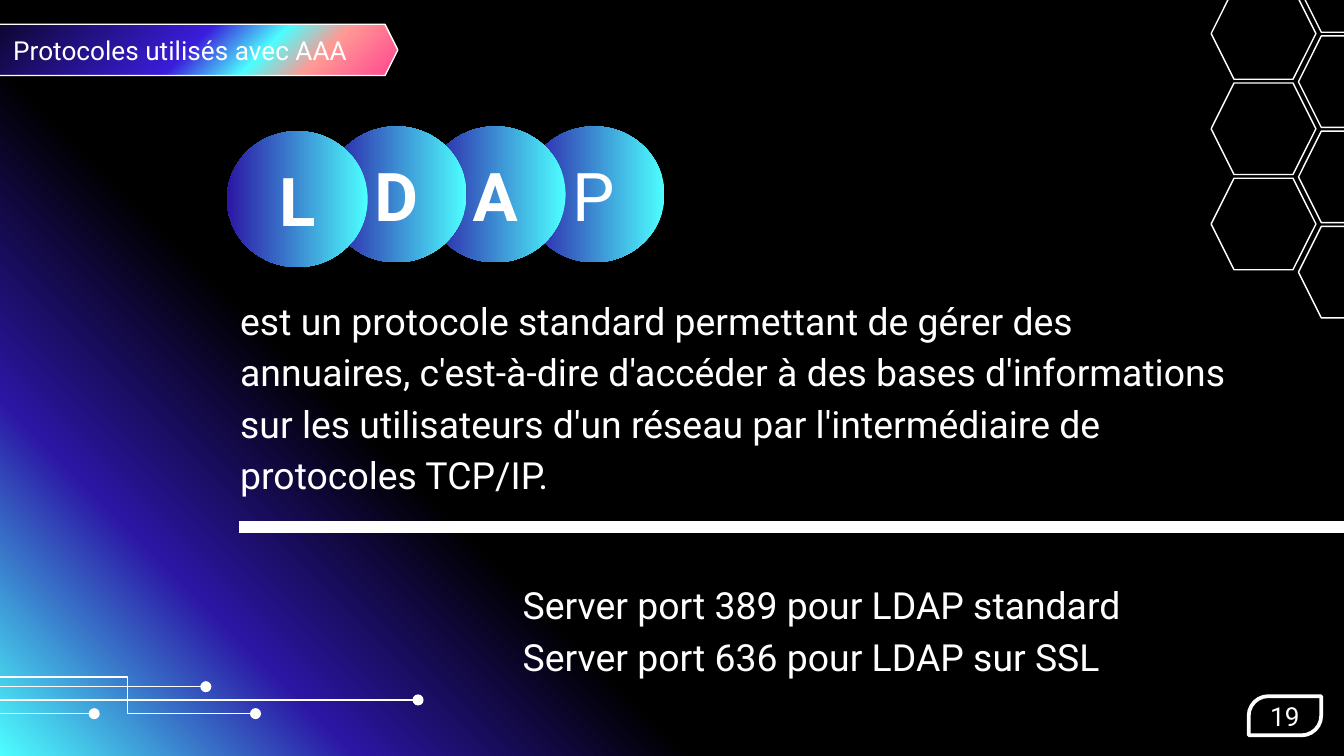
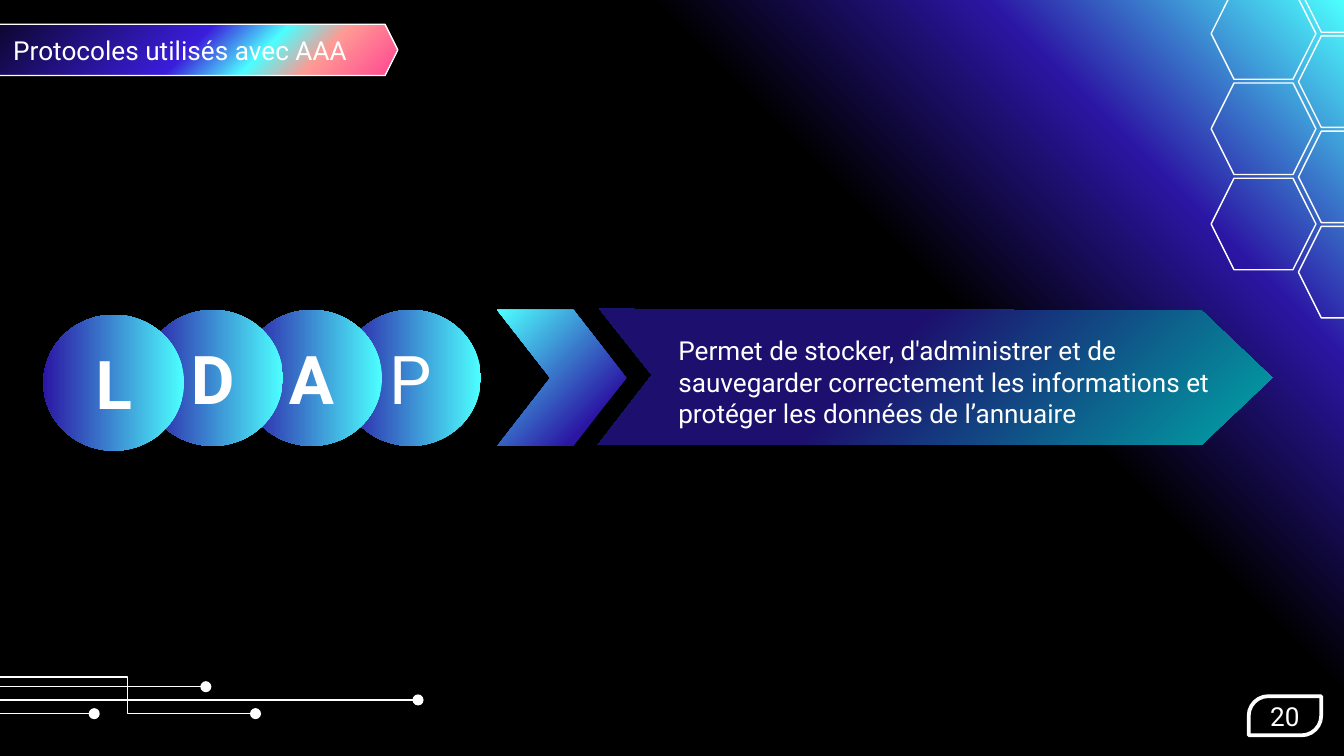
"""Build two slides on LDAP among the protocols used with AAA."""
import dataclasses
import typing

import pptx
import pptx.dml.color
import pptx.dml.fill
import pptx.enum.shapes
import pptx.enum.text
import pptx.oxml
import pptx.oxml.ns
import pptx.shapes.autoshape
import pptx.slide
import pptx.text.text
import pptx.util

Cm = pptx.util.Cm
Preset = pptx.enum.shapes.MSO_SHAPE
Connector = pptx.enum.shapes.MSO_CONNECTOR
Anchor = pptx.enum.text.MSO_ANCHOR
Align = pptx.enum.text.PP_ALIGN
AutoSize = pptx.enum.text.MSO_AUTO_SIZE
Slide = pptx.slide.Slide
Shape = pptx.shapes.autoshape.Shape

WHITE, BLACK = "FFFFFF", "000000"
CYAN, INDIGO = "4DFFFF", "2B16A4"
THIN = 0.75
INSETS = {f"margin_{side}": Cm(0.25) for side in ("left", "top", "right", "bottom")}
BOTTOM_TEXT = {"word_wrap": True, "vertical_anchor": Anchor.BOTTOM, **INSETS}
CENTRED_TEXT = {"word_wrap": True, "vertical_anchor": Anchor.MIDDLE}
GROWING_TEXT = {"word_wrap": True, "auto_size": AutoSize.SHAPE_TO_FIT_TEXT}


class Box(typing.NamedTuple):
    """Position and size in centimetres."""

    left: float
    top: float
    width: float
    height: float

    def emu(self) -> list[int]:
        """Return the four lengths ready for python-pptx."""
        return [Cm(length) for length in self]


@dataclasses.dataclass(frozen=True)
class Gradient:
    """Colour stops, spread from a focus corner or along an angle."""

    stops: tuple[tuple[int, str], ...]
    angle: int = 0
    focus: tuple[int, ...] = ()


@dataclasses.dataclass(frozen=True)
class Circuit:
    """A line from the left edge that ends in a dot."""

    start_y: float
    end_x: float
    end_y: float
    route: Connector = Connector.STRAIGHT


@dataclasses.dataclass(frozen=True)
class Letter:
    """One letter of the acronym and the drop of its circle."""

    text: str
    bold: bool = True
    drop: float = 0


BACKDROP = ((0, CYAN), (17, INDIGO), (33, BLACK), (100, BLACK))
BOTTOM_LEFT_GLOW = Gradient(BACKDROP, focus=(0, 100, 100, 0))
TOP_RIGHT_GLOW = Gradient(BACKDROP, focus=(100, 0, 0, 100))
BANNER_FILL = Gradient(
    ((0, "FF4491"), (19, "FF9A94"), (31, CYAN), (46, "3A1DDB"), (100, BLACK)),
    focus=(100, 100, 0, 0),
)
CIRCLE_FILL = Gradient(((0, CYAN), (100, INDIGO)), angle=180)
CHEVRON_FILL = Gradient(((0, CYAN), (77, INDIGO)), focus=(0, 0, 100, 100))
PURPOSE_FILL = Gradient(((0, "00A6A6"), (59, "1D0F6E")), angle=225)

CIRCUITS = (
    Circuit(13.23, 7.9, 13.23),
    Circuit(12.8, 4.83, 13.49, Connector.ELBOW),
    Circuit(12.98, 3.89, 12.98),
    Circuit(13.49, 1.78, 13.49),
)
ACRONYM = (Letter("L", drop=0.09), Letter("D"), Letter("A"), Letter("P", bold=False))
HONEYCOMB = ((24.54, -1.12, 4), (22.89, -0.23, 3))
PURPOSE_OUTLINE = (
    (11.33, 5.84), (22.71, 5.87), (24.05, 7.14),
    (22.71, 8.41), (11.3, 8.41), (12.32, 7.09),
)


def colour(code: str) -> pptx.dml.color.RGBColor:
    """Turn a hex string into a colour."""
    return pptx.dml.color.RGBColor.from_string(code)


def set_values(target: typing.Any, values: dict[str, typing.Any]) -> None:
    """Set each named format value on the target."""
    for name, value in values.items():
        setattr(target, name, value)


def fill_gradient(
    owner: typing.Any, fill: pptx.dml.fill.FillFormat, gradient: Gradient
) -> None:
    """Give a shape or background fill its gradient."""
    stops = "".join(
        f'<a:gs pos="{place * 1000}"><a:srgbClr val="{colour(code)}"/></a:gs>'
        for place, code in gradient.stops
    )
    if gradient.focus:
        edges = " ".join(
            f'{side}="{share * 1000}"' for side, share in zip("ltrb", gradient.focus)
        )
        spread = f'<a:path path="circle"><a:fillToRect {edges}/></a:path><a:tileRect/>'
    else:
        spread = f'<a:lin ang="{gradient.angle * 60000}" scaled="0"/>'
    fill.gradient()
    default = next(owner.iter(pptx.oxml.ns.qn("a:gradFill")))
    default.getparent().replace(
        default,
        pptx.oxml.parse_xml(
            f'<a:gradFill {pptx.oxml.ns.nsdecls("a")} rotWithShape="1">'
            f"<a:gsLst>{stops}</a:gsLst>{spread}</a:gradFill>"
        ),
    )


def style_shape(
    shape: Shape, gradient: Gradient | None = None, line_width: float = 0
) -> Shape:
    """Set the fill and the white outline of a shape."""
    shape.shadow.inherit = False
    if gradient:
        fill_gradient(shape.element, shape.fill, gradient)
    else:
        shape.fill.background()
    if line_width:
        shape.line.color.rgb = colour(WHITE)
        shape.line.width = pptx.util.Pt(line_width)
    else:
        shape.line.fill.background()
    return shape


def write(
    frame: pptx.text.text.TextFrame,
    lines: tuple[str, ...],
    size: int,
    frame_values: dict[str, typing.Any],
    paragraph_values: dict[str, typing.Any],
    bold: bool = False,
) -> None:
    """Write white lines of text into a frame."""
    set_values(frame, frame_values)
    font_values = {"name": "Roboto", "size": pptx.util.Pt(size), "bold": bold}
    for index, line in enumerate(lines):
        paragraph = frame.add_paragraph() if index else frame.paragraphs[0]
        set_values(paragraph, paragraph_values)
        run = paragraph.add_run()
        run.text = line
        set_values(run.font, font_values)
        run.font.color.rgb = colour(WHITE)


def add_text(
    slide: Slide,
    box: Box,
    lines: tuple[str, ...],
    size: int,
    frame_values: dict[str, typing.Any],
    spacing: float | None = None,
) -> None:
    """Add a left-aligned text box."""
    frame = slide.shapes.add_textbox(*box.emu()).text_frame
    write(frame, lines, size, frame_values, {"line_spacing": spacing})


def add_line(
    slide: Slide,
    start: tuple[float, float],
    end: tuple[float, float],
    width: float,
    route: Connector = Connector.STRAIGHT,
    dotted_end: bool = False,
) -> None:
    """Add a white line, with a dot at its end if asked."""
    line = slide.shapes.add_connector(route, *map(Cm, start + end))
    line.line.color.rgb = colour(WHITE)
    line.line.width = pptx.util.Pt(width)
    namespace = pptx.oxml.ns.nsdecls("a")
    if dotted_end:
        outline = next(line.element.iter(pptx.oxml.ns.qn("a:ln")))
        outline.append(pptx.oxml.parse_xml(f'<a:tailEnd {namespace} type="oval"/>'))
    line.element.spPr.append(pptx.oxml.parse_xml(f"<a:effectLst {namespace}/>"))


def add_frame(deck: typing.Any, glow: Gradient, number: int) -> Slide:
    """Add a slide with its background, decoration, banner and number."""
    slide = deck.slides.add_slide(deck.slide_layouts[6])
    fill_gradient(slide.element, slide.background.fill, glow)
    for left, top, count in HONEYCOMB:
        for row in range(count):
            cell = Box(left, top + 1.8 * row, 1.98, 1.73)
            style_shape(
                slide.shapes.add_shape(Preset.HEXAGON, *cell.emu()), line_width=THIN
            )
    for circuit in CIRCUITS:
        add_line(
            slide, (0, circuit.start_y), (circuit.end_x, circuit.end_y),
            THIN, circuit.route, dotted_end=True,
        )
    banner = slide.shapes.add_shape(Preset.HEXAGON, *Box(-1.17, 0.46, 8.69, 0.97).emu())
    style_shape(banner, BANNER_FILL, THIN)
    add_text(
        slide, Box(0, 0.36, 9.09, 1.14), ("Protocoles utilisés avec AAA",), 14, BOTTOM_TEXT
    )
    badge = slide.shapes.add_shape(
        Preset.ROUND_2_DIAG_RECTANGLE, *Box(23.6, 13.16, 1.37, 0.74).emu()
    )
    badge.adjustments[0] = 0.5
    style_shape(badge, line_width=2)
    write(badge.text_frame, (str(number),), 14, CENTRED_TEXT, {"alignment": Align.CENTER})
    return slide


def add_acronym(slide: Slide, left: float, top: float) -> None:
    """Add the overlapping circles, the first letter in front."""
    for index, letter in reversed(list(enumerate(ACRONYM))):
        box = Box(left + 1.87 * index, top + letter.drop, 2.66, 2.57)
        circle = slide.shapes.add_shape(Preset.OVAL, *box.emu())
        style_shape(circle, CIRCLE_FILL)
        write(
            circle.text_frame, (letter.text,), 36, {**CENTRED_TEXT, **INSETS},
            {"alignment": Align.CENTER}, letter.bold,
        )


def build_definition(deck: typing.Any) -> None:
    """Build the slide that defines LDAP and its ports."""
    slide = add_frame(deck, BOTTOM_LEFT_GLOW, 19)
    add_line(slide, (4.52, 9.96), (25.6, 9.96), 6)
    definition = (
        "est un protocole standard permettant de gérer des annuaires, "
        "c'est-à-dire d'accéder à des bases d'informations sur les utilisateurs "
        "d'un réseau par l'intermédiaire de protocoles TCP/IP."
    )
    add_text(slide, Box(4.29, 5.38, 19.15, 4.27), (definition,), 20, BOTTOM_TEXT, 1.15)
    add_acronym(slide, 4.29, 2.39)
    ports = ("Server port 389 pour LDAP standard", "Server port 636 pour LDAP sur SSL")
    add_text(slide, Box(9.63, 10.74, 13.26, 2.34), ports, 20, BOTTOM_TEXT, 1.15)


def build_purpose(deck: typing.Any) -> None:
    """Build the slide that tells what LDAP is for."""
    slide = add_frame(deck, TOP_RIGHT_GLOW, 20)
    add_acronym(slide, 0.82, 5.86)
    chevron = slide.shapes.add_shape(Preset.CHEVRON, *Box(9.4, 5.86, 2.44, 2.57).emu())
    chevron.adjustments[0] = 0.41
    style_shape(chevron, CHEVRON_FILL)
    start, *corners = [(Cm(x), Cm(y)) for x, y in PURPOSE_OUTLINE]
    outline = slide.shapes.build_freeform(*start)
    outline.add_line_segments(corners, close=True)
    style_shape(outline.convert_to_shape(), PURPOSE_FILL)
    purpose = (
        "Permet de stocker, d'administrer et de sauvegarder correctement "
        "les informations et protéger les données de l’annuaire"
    )
    add_text(slide, Box(12.57, 6.2, 11.18, 2.06), (purpose,), 14, GROWING_TEXT)


def main() -> None:
    """Build and save the presentation."""
    deck = pptx.Presentation()
    set_values(deck, {"slide_width": Cm(25.4), "slide_height": Cm(14.29)})
    build_definition(deck)
    build_purpose(deck)
    deck.save("out.pptx")


if __name__ == "__main__":
    main()
